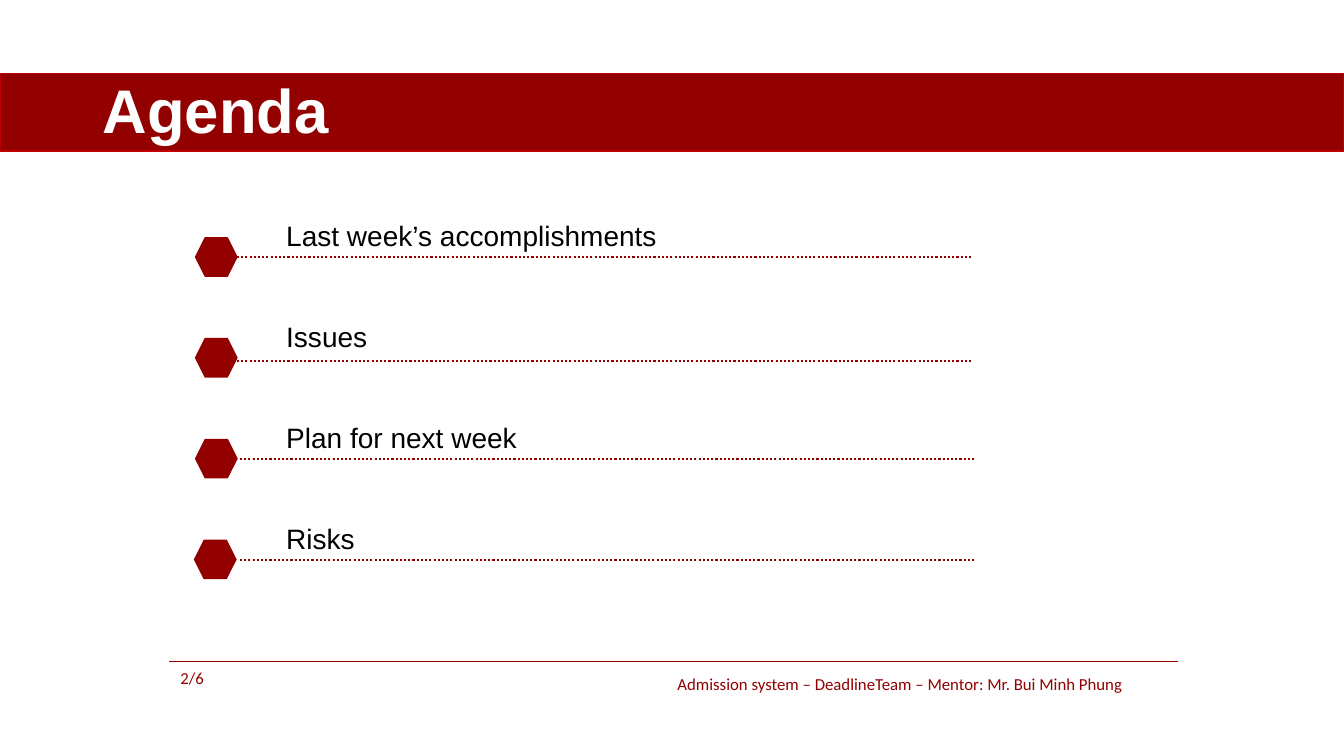
import pptx
import pptx.util
import pptx.dml.color
import pptx.enum.dml
import pptx.enum.shapes
import pptx.enum.text
import pptx.oxml

Inches = pptx.util.Inches
Pt = pptx.util.Pt
SHAPE = pptx.enum.shapes.MSO_SHAPE
ANCHOR = pptx.enum.text.MSO_ANCHOR

TITLE = "Agenda"
AGENDA = [
    {"text": "Last week’s accomplishments", "width": 3.91, "marker_left": 1.94, "rule_left": 2.35, "rule_top": 2.55},
    {"text": "Issues", "width": 1.01, "marker_left": 1.94, "rule_left": 2.35, "rule_top": 3.58},
    {"text": "Plan for next week", "width": 2.51, "marker_left": 1.94, "rule_left": 2.38, "rule_top": 4.55},
    {"text": "Risks", "width": 0.89, "marker_left": 1.93, "rule_left": 2.38, "rule_top": 5.56},
]
PAGE_NUMBER = "2/6"
FOOTER = "Admission system – DeadlineTeam – Mentor: Mr. Bui Minh Phung"

THEME = {
    "red": "920000", "edge": "C00000", "white": "FFFFFF", "black": "000000",
    "heading_font": "Arial", "footer_font": "Calibri",
    "title_size": 44, "item_size": 20, "footer_size": 12,
}
MARKER_TOP, LABEL_TOP, ROW_STEP = 2.36, 2.12, 1.0
RULE_LENGTH = 7.3


def color(name):
    return pptx.dml.color.RGBColor.from_string(THEME[name])


def add_block(slide, kind, left, top, width, height, edge):
    shape = slide.shapes.add_shape(kind, Inches(left), Inches(top), Inches(width), Inches(height))
    shape.shadow.inherit = False
    shape.fill.solid()
    shape.fill.fore_color.rgb = color("red")
    shape.line.color.rgb = color(edge)
    shape.line.width = Pt(1)


def add_rule(slide, left, top, length, weight, dash=None):
    connector = slide.shapes.add_connector(
        pptx.enum.shapes.MSO_CONNECTOR.STRAIGHT,
        Inches(left), Inches(top), Inches(left + length), Inches(top))
    connector.line.color.rgb = color("red")
    connector.line.width = Pt(weight)
    if dash:
        connector.line.dash_style = dash
    properties = connector._element.spPr
    properties.append(pptx.oxml.parse_xml(
        '<a:effectLst xmlns:a="http://schemas.openxmlformats.org/drawingml/2006/main"/>'))


def add_text(slide, text, left, top, width, height, font, size, ink, wrap=False, bold=False, anchor=ANCHOR.TOP):
    box = slide.shapes.add_textbox(Inches(left), Inches(top), Inches(width), Inches(height))
    frame = box.text_frame
    frame.text = text
    frame.word_wrap = wrap
    frame.vertical_anchor = anchor
    run = frame.paragraphs[0].runs[0]
    run.font.name = THEME[font]
    run.font.size = Pt(THEME[size])
    run.font.bold = bold
    run.font.color.rgb = color(ink)
    return box


def main():
    presentation = pptx.Presentation()
    presentation.slide_width = Inches(13.33)
    presentation.slide_height = Inches(7.5)
    slide = presentation.slides.add_slide(presentation.slide_layouts[6])

    add_block(slide, SHAPE.RECTANGLE, 0, 0.73, 13.33, 0.77, "edge")
    title = add_text(slide, TITLE, 0.92, 0.4, 11.5, 1.45, "heading_font", "title_size", "white",
                     wrap=True, bold=True, anchor=ANCHOR.MIDDLE)
    title.text_frame.paragraphs[0].line_spacing = 0.9

    for row, item in enumerate(AGENDA):
        offset = row * ROW_STEP
        add_block(slide, SHAPE.HEXAGON, item["marker_left"], MARKER_TOP + offset, 0.41, 0.38, "red")
        add_rule(slide, item["rule_left"], item["rule_top"], RULE_LENGTH, 1.5,
                 pptx.enum.dml.MSO_LINE.ROUND_DOT)
        add_text(slide, item["text"], 2.74, LABEL_TOP + offset, item["width"], 0.44,
                 "heading_font", "item_size", "black")

    add_rule(slide, 1.68, 6.56, 10, 0.5)
    add_text(slide, FOOTER, 6.62, 6.63, 5.08, 0.3, "footer_font", "footer_size", "red", wrap=True)
    add_text(slide, PAGE_NUMBER, 1.69, 6.58, 0.49, 0.3, "footer_font", "footer_size", "red", wrap=True)

    presentation.save("out.pptx")


if __name__ == "__main__":
    main()
